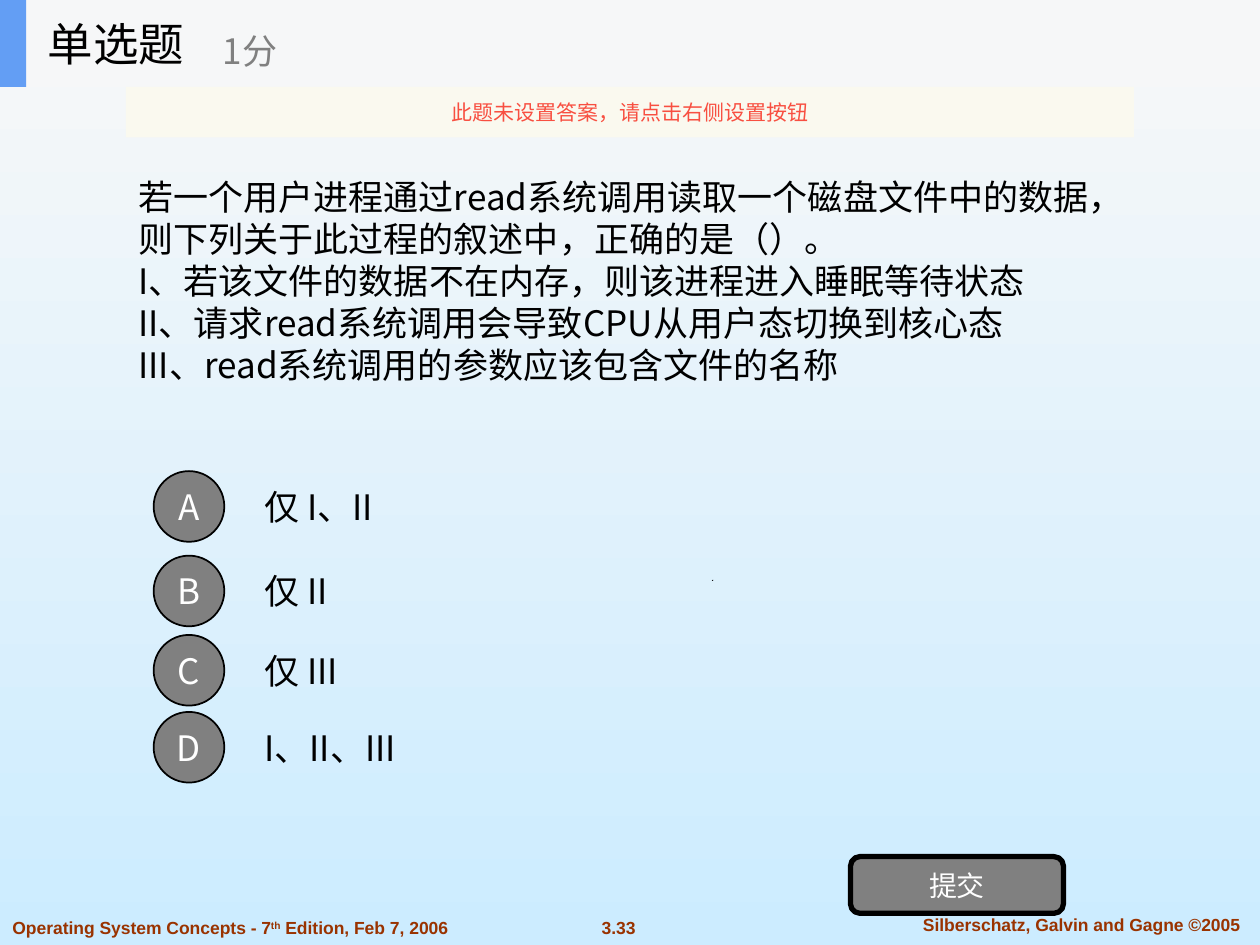
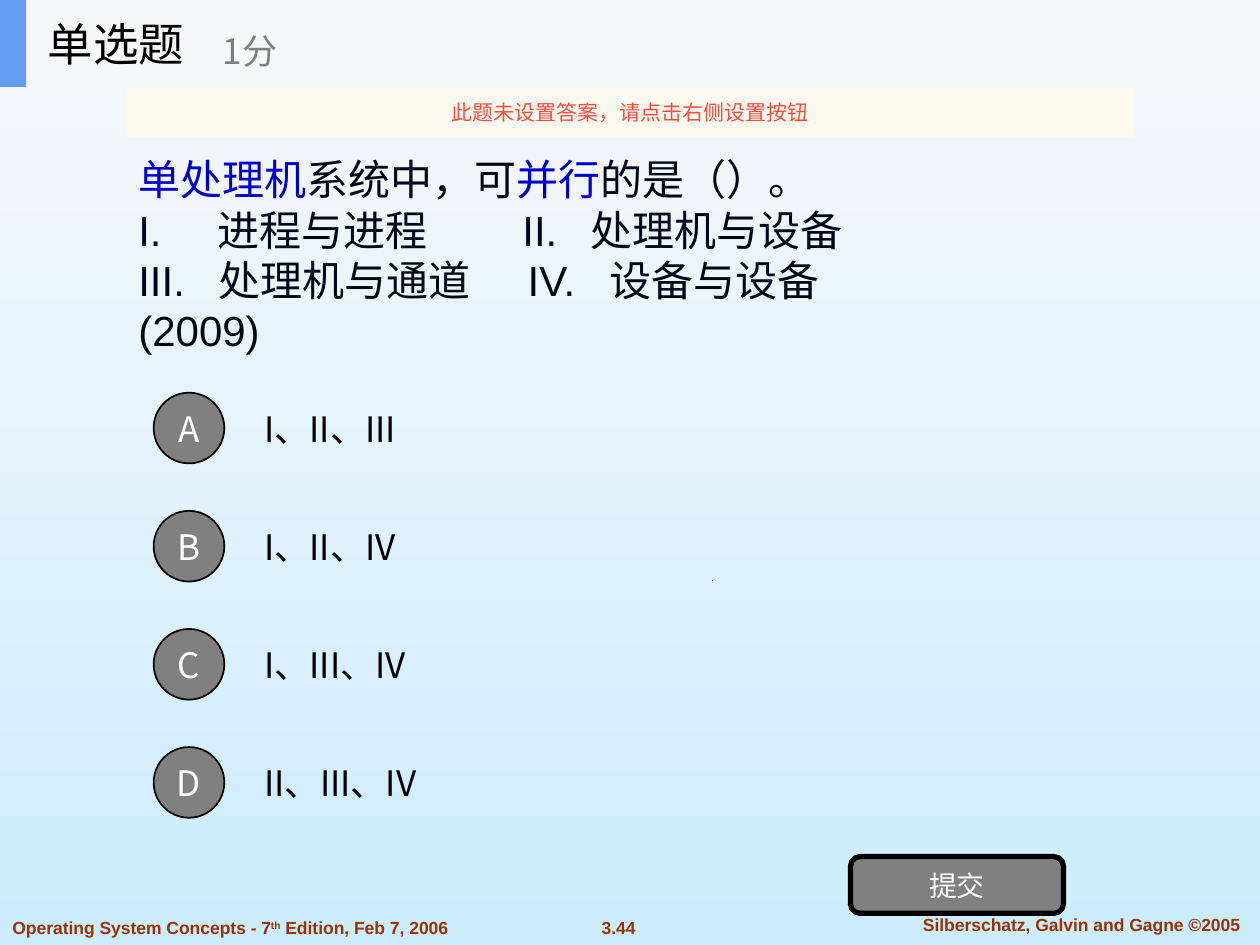
from dataclasses import dataclass

from lxml import etree
from pptx import Presentation
from pptx.dml.color import RGBColor
from pptx.enum.shapes import MSO_SHAPE
from pptx.enum.text import MSO_ANCHOR, PP_ALIGN
from pptx.oxml.ns import qn
from pptx.util import Pt

RECTANGLE, ROUNDED, OVAL = MSO_SHAPE.RECTANGLE, MSO_SHAPE.ROUNDED_RECTANGLE, MSO_SHAPE.OVAL
LEFT, CENTER = PP_ALIGN.LEFT, PP_ALIGN.CENTER
TOP, MIDDLE = MSO_ANCHOR.TOP, MSO_ANCHOR.MIDDLE


@dataclass(frozen=True)
class Theme:
    sans: str = "Noto Sans CJK SC"
    arial: str = "Arial"
    black: str = "000000"
    white: str = "FFFFFF"
    gray: str = "808080"
    footer: str = "993300"
    ink: str = "000818"
    highlight: str = "0000CC"
    header: str = "F6F7F8"
    accent: str = "639EF4"
    notice: str = "FBFAEF"
    warning: str = "F84F41"
    sky: tuple = ("F8F8F8", "CCECFF")
    title_size: int = 26
    question_size: int = 24
    body_size: int = 20
    button_size: int = 16
    notice_size: int = 12
    footer_size: int = 10
    leading: float = 1.2


class QuizDeck:
    """Holds the theme, the presentation and the slide being built."""

    def __init__(self, theme):
        self.theme = theme
        self.presentation = Presentation()
        self.presentation.slide_width, self.presentation.slide_height = Pt(720), Pt(540)
        self.slide = None

    def new_slide(self):
        layout = self.presentation.slide_layouts[5]
        self.slide = self.presentation.slides.add_slide(layout)
        fill = self.slide.background.fill
        fill.gradient()
        fill.gradient_angle = 270
        for stop, color in zip(fill.gradient_stops, self.theme.sky):
            stop.color.rgb = RGBColor.from_string(color)

    def fill_text(self, shape, paragraphs, size, color, font=None, align=LEFT,
                  anchor=MIDDLE, bold=False, inset=None, spaced=False, tabs=None):
        """Each paragraph is a string or a list of (text, changes) runs."""
        frame = shape.text_frame
        frame_format = {"word_wrap": True, "vertical_anchor": anchor}
        if inset is not None:
            sides = ("left", "top", "right", "bottom")
            frame_format |= {f"margin_{side}": Pt(inset) for side in sides}
        for name, value in frame_format.items():
            setattr(frame, name, value)
        for index, content in enumerate(paragraphs):
            paragraph = frame.add_paragraph() if index else frame.paragraphs[0]
            if tabs and index in tabs:
                self.tab_stops(paragraph, tabs[index])
            paragraph.alignment = align
            if spaced:
                paragraph.line_spacing = Pt(size * self.theme.leading)
            runs = [(content, {})] if isinstance(content, str) else content
            for text, changes in runs:
                run = paragraph.add_run()
                run.text = text
                font_format = {"name": font or self.theme.sans, "size": Pt(size), "bold": bold}
                for name, value in font_format.items():
                    setattr(run.font, name, value)
                run.font.color.rgb = RGBColor.from_string(changes.get("color", color))
                properties = run._r.get_or_add_rPr()
                etree.SubElement(properties, qn("a:ea")).set("typeface", self.theme.sans)
                if "baseline" in changes:
                    properties.set("baseline", str(changes["baseline"] * 1000))

    def tab_stops(self, paragraph, positions):
        tab_list = etree.SubElement(paragraph._p.get_or_add_pPr(), qn("a:tabLst"))
        for position in positions:
            tab = etree.SubElement(tab_list, qn("a:tab"))
            tab.set("pos", str(Pt(position)))
            tab.set("algn", "l")

    def title(self, box, text, size, color):
        shape = self.slide.shapes.title
        for name, value in zip(("left", "top", "width", "height"), box):
            setattr(shape, name, Pt(value))
        self.slide.shapes._spTree.append(shape._element)  # above the header band
        self.fill_text(shape, [text], size, color)

    def text(self, box, paragraphs, size, color, **text_format):
        shape = self.slide.shapes.add_textbox(*map(Pt, box))
        self.fill_text(shape, paragraphs, size, color, **text_format)

    def block(self, kind, box, fill, outline=None, alpha=None):
        shape = self.slide.shapes.add_shape(kind, *map(Pt, box))
        self.paint(shape, fill)
        if outline:
            shape.line.color.rgb = RGBColor.from_string(self.theme.black)
            shape.line.width = Pt(outline)
        if alpha:
            color = shape._element.spPr.find(".//" + qn("a:srgbClr"))
            etree.SubElement(color, qn("a:alpha")).set("val", str(alpha * 1000))
        return shape

    def paint(self, shape, fill):
        shape.shadow.inherit = False
        shape.fill.solid()
        shape.fill.fore_color.rgb = RGBColor.from_string(fill)
        shape.line.fill.background()

    def speck(self, start, *points):
        builder = self.slide.shapes.build_freeform(*map(Pt, start))
        builder.add_line_segments([tuple(map(Pt, point)) for point in points], close=True)
        self.paint(builder.convert_to_shape(), self.theme.black)

    def footer(self, number):
        theme = self.theme
        edition = [("Operating System Concepts - 7", {}), ("th", {"baseline": 30}),
                   (" Edition, Feb 7, 2006", {})]
        for box, content, align in (
            ((330.5, 520.5, 46, 19.5), number, CENTER),
            ((511, 518.5, 214, 19.5), "Silberschatz, Galvin and Gagne ©2005", CENTER),
            ((0, 520.5, 294.5, 19.5), edition, LEFT),
        ):
            self.text(box, [content], theme.footer_size, theme.footer, font=theme.arial,
                      align=align, anchor=TOP, bold=True)

    def options(self, answers, tops, widths):
        theme = self.theme
        for letter, answer, top, width in zip("ABCD", answers, tops, widths):
            self.text((144, top, width, 50.4), [answer], theme.body_size, theme.black, spaced=True)
            circle = self.block(OVAL, (87.8, top + 5, 40.4, 40.4), theme.gray, outline=1)
            self.fill_text(circle, [letter], theme.body_size, theme.white, align=CENTER, inset=0)

    def quiz_frame(self):
        theme = self.theme
        # Submit button
        button = self.block(ROUNDED, (486, 489.5, 121.7, 32.4), theme.gray, outline=3)
        self.fill_text(button, ["提交"], theme.button_size, theme.white, align=CENTER)
        # Header band with question type and score
        self.block(RECTANGLE, (0, 0, 720, 49.7), theme.header)
        self.block(RECTANGLE, (0, 0, 15, 49.7), theme.accent)
        self.title((20.2, 0, 149.8, 49.7), "单选题", theme.title_size, theme.black)
        self.text((120.2, 8.6, 180, 40.3), ["1分"], theme.body_size, theme.gray)
        # Notice strip
        notice = self.block(RECTANGLE, (72, 49.7, 576, 28.8), theme.notice, alpha=90)
        self.fill_text(notice, ["此题未设置答案，请点击右侧设置按钮"], theme.notice_size,
                       theme.warning, align=CENTER)

    def quiz_slide(self, number, question_box, question, question_format,
                   answers, tops, widths):
        self.new_slide()
        self.footer(number)
        self.speck((406.8, 331.9), (407.5, 331.2), (407.5, 331.9))
        self.text(question_box, question, spaced=True, **question_format)
        self.options(answers, tops, widths)
        self.quiz_frame()


def main():
    theme = Theme()
    deck = QuizDeck(theme)

    # Reading a disk file
    deck.quiz_slide(
        "3.33", (72, 76.3, 576, 168.5),
        ["若一个用户进程通过read系统调用读取一个磁盘文件中的数据，则下列关于此过程的叙述中，正确的是（）。",
         "I、若该文件的数据不在内存，则该进程进入睡眠等待状态",
         "II、请求read系统调用会导致CPU从用户态切换到核心态",
         "III、read系统调用的参数应该包含文件的名称"],
        {"size": theme.body_size, "color": theme.black},
        ["仅 I、II", "仅 II", "仅 III", "I、II、III"],
        (264.2, 312.5, 357.8, 401.8), [504] * 4)

    # Parallel work on a single processor
    highlight = {"color": theme.highlight}
    deck.quiz_slide(
        "3.44", (72, 75, 596, 141),
        [[("单处理机", highlight), ("系统中，可", {}), ("并行", highlight), ("的是（）。", {})],
         "I.\t进程与进程\tII.\t处理机与设备",
         "III.\t处理机与通道\tIV.\t设备与设备",
         "(2009)"],
        {"size": theme.question_size, "color": theme.ink, "font": theme.arial,
         "tabs": {1: (45.5, 219.5, 258.5), 2: (46, 222.5, 269)}},
        ["I、II、III", "I、II、IV", "I、III、IV", "II、III、IV"],
        [219.4 + 67.5 * row for row in range(4)], (126.7, 126.7, 126.7, 110))

    deck.presentation.save("out.pptx")


if __name__ == "__main__":
    main()
